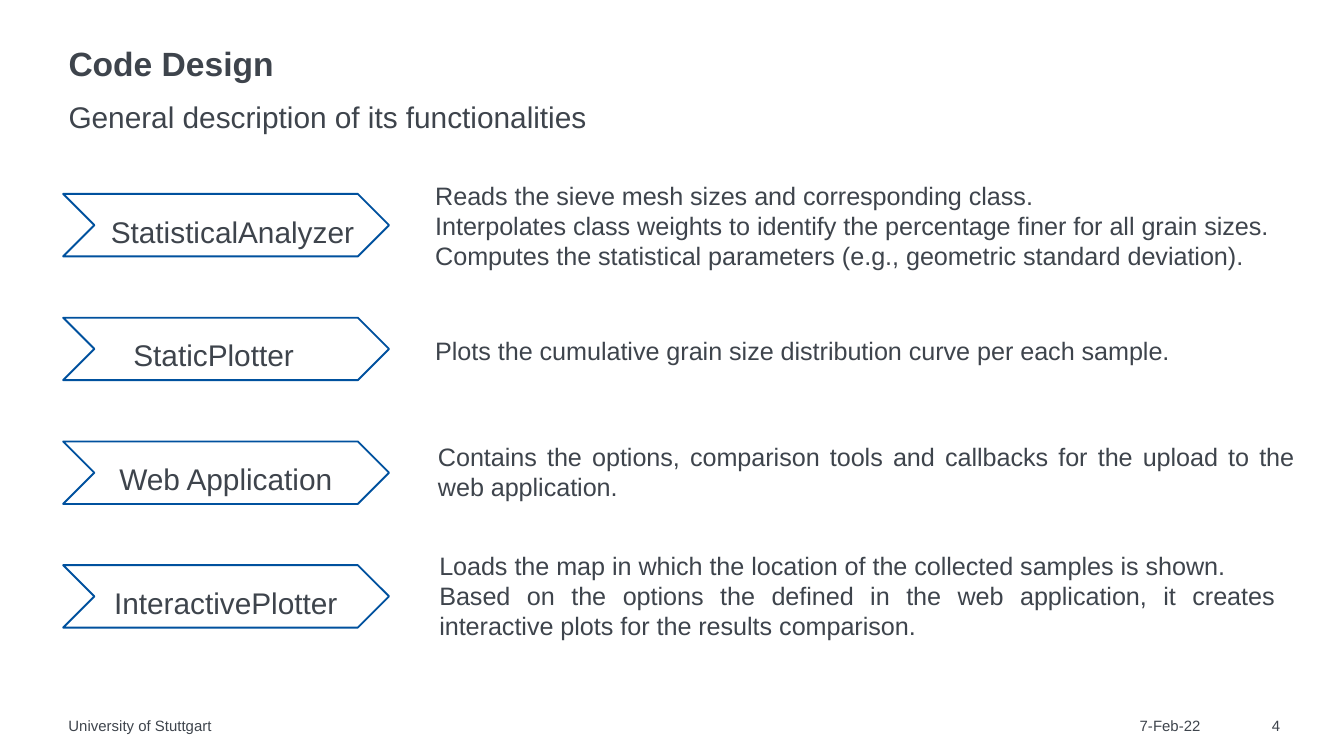
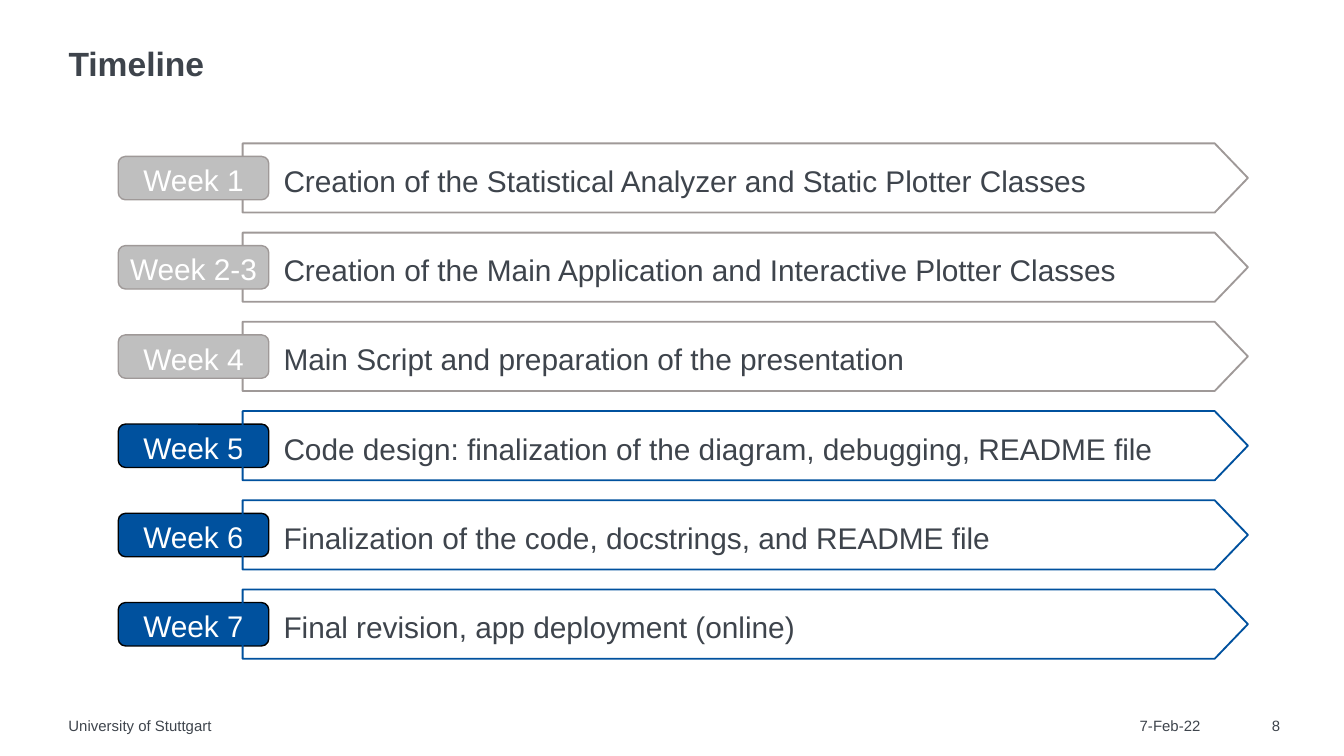
from collections import namedtuple

from pptx import Presentation
from pptx import util as u
from pptx.dml.color import RGBColor
from pptx.enum import shapes, text

# Grid: square cells, 100 columns across the slide
COLS, ROWS = 100, 56.25
CELL = u.Inches(0.1)

# Shared look
INK, BLUE, GREY, SILVER = "3E444C", "00519E", "9F9998", "BFBFBF"
WHITE, BLACK = "FFFFFF", "000000"
CENTER, RIGHT, JUSTIFY = (text.PP_ALIGN.CENTER, text.PP_ALIGN.RIGHT,
                          text.PP_ALIGN.JUSTIFY)
GROW = text.MSO_AUTO_SIZE.SHAPE_TO_FIT_TEXT
FIXED = text.MSO_AUTO_SIZE.NONE
MIDDLE, TOP, BOTTOM = (text.MSO_ANCHOR.MIDDLE, text.MSO_ANCHOR.TOP,
                       text.MSO_ANCHOR.BOTTOM)
CHEVRON, ARROW, TAG = (shapes.MSO_SHAPE.CHEVRON, shapes.MSO_SHAPE.RIGHT_ARROW,
                       shapes.MSO_SHAPE.ROUNDED_RECTANGLE)

TITLE = {"size": 18, "bold": True, "spacing": 0.9, "anchor": MIDDLE, "grow": FIXED}
SUBTITLE = {"size": 16, "spacing": 1.2, "grow": FIXED}
LABEL = {"size": 16, "spacing": 1.2}
FOOTER = {"size": 8}
DESCRIPTION = {"size": 13.5, "align": JUSTIFY, "level": 1, "insets": (1, 0.5)}

# Label shift, description offset (column, row), width, height, indent and lines
COMPONENTS = [
    ("StatisticalAnalyzer", 2, (22.8, -1.5), (68.6, 7.8), 3.9, [
        "Reads the sieve mesh sizes and corresponding class.",
        "Interpolates class weights to identify the percentage finer for all grain sizes.",
        "Computes the statistical parameters (e.g., geometric standard deviation)."]),
    ("StaticPlotter", 0.6, (22.8, 0.8), (68.6, 3.3), 3.9, [
        "Plots the cumulative grain size distribution curve per each sample."]),
    ("Web Application", 1.5, (25, -0.5), (67.65, 5.6), 1.9, [
        "Contains the options, comparison tools and callbacks for the upload to the "
        "web application."]),
    ("InteractivePlotter", 1.5, (23.1, -1.6), (68.1, 7.8), 3.9, [
        "Loads the map in which the location of the collected samples is shown.",
        "Based on the options the defined in the web application, it creates "
        "interactive plots for the results comparison."]),
]

# Week, task, done
WEEKS = [
    ("Week 1", "Creation of the Statistical Analyzer and Static Plotter Classes", True),
    ("Week 2-3", "Creation of the Main Application and Interactive Plotter Classes", True),
    ("Week 4", "Main Script and preparation of the presentation", True),
    ("Week 5", "Code design: finalization of the diagram, debugging, README file", False),
    ("Week 6", "Finalization of the code, docstrings, and README file", False),
    ("Week 7", "Final revision, app deployment (online)", False),
]


class Box(namedtuple("Box", "x y w h")):
    """A region in grid cells."""

    def sub(self, dx, dy, w, h):
        return Box(self.x + dx, self.y + dy, w, h)

    def rows(self, count):
        """Split into rows of equal pitch."""
        pitch = self.h / count
        return [self.sub(0, i * pitch, self.w, pitch) for i in range(count)]

    def emu(self):
        return [cells(v) for v in self]


PAGE = Box(0, 0, COLS, ROWS)


def cells(n):
    return u.Emu(round(n * CELL))


def rgb(value):
    return RGBColor.from_string(value)


def apply(obj, values):
    for name, value in values.items():
        setattr(obj, name, value)


def write(sp, lines, size, color=INK, bold=False, align=None, spacing=None,
          anchor=TOP, grow=GROW, insets=(0, 0), level=0, indent=0):
    tf = sp.text_frame
    side, edge = map(cells, insets)
    apply(tf, {"word_wrap": True, "auto_size": grow, "vertical_anchor": anchor,
               "margin_left": side, "margin_right": side,
               "margin_top": edge, "margin_bottom": edge})
    for i, line in enumerate(lines):
        p = tf.add_paragraph() if i else tf.paragraphs[0]
        apply(p, {"alignment": align, "line_spacing": spacing, "level": level})
        if indent:
            pPr = p._p.get_or_add_pPr()
            pPr.set("marL", str(cells(indent)))
            pPr.set("indent", "0")
        r = p.add_run()
        r.text = line
        apply(r.font, {"name": "Arial", "size": u.Pt(size), "bold": bold})
        r.font.color.rgb = rgb(color)


def add_text(s, box, *lines, **style):
    write(s.shapes.add_textbox(*box.emu()), lines, **style)


def add_outline(s, kind, box, line, width=1, fill=None, adjust=()):
    sp = s.shapes.add_shape(kind, *box.emu())
    sp.shadow.inherit = False
    for i, value in enumerate(adjust):
        sp.adjustments[i] = value
    if fill:
        sp.fill.solid()
        sp.fill.fore_color.rgb = rgb(fill)
    else:
        sp.fill.background()
    sp.line.color.rgb = rgb(line)
    sp.line.width = u.Pt(width)
    return sp


def add_page(prs, box, title, number):
    """Blank slide with the shared title and footer."""
    s = prs.slides.add_slide(prs.slide_layouts[6])
    add_text(s, box.sub(5.1, 3.5, 90.2, 2.8), title, **TITLE)
    foot = box.sub(0, 53.35, box.w, 1.3)
    add_text(s, foot.sub(84.8, 0, 5.8, 1.3), "7-Feb-22", **FOOTER)
    add_text(s, foot.sub(5.1, 0, 66.3, 1.3), "University of Stuttgart", **FOOTER)
    add_text(s, foot.sub(92.8, 0, 2.45, 1.3), str(number), align=RIGHT, **FOOTER)
    return s


def add_component(s, box, label, shift, offset, size, indent, lines):
    """Chevron with a class name, and its description on the right."""
    add_text(s, box.sub(shift, 0.9, 21.2, 2.9), label, align=CENTER, **LABEL)
    add_outline(s, CHEVRON, box.sub(0, 0, 24.25, 4.65), BLUE)
    add_text(s, box.sub(*offset, *size), *lines, indent=indent, **DESCRIPTION)


def add_week(s, box, week, task, done):
    """Arrow with a task, and a week tag on its left end."""
    def arrow():
        add_outline(s, ARROW, box.sub(9.25, 0, 74.8, 5.15), GREY if done else BLUE,
                    adjust=(1, 0.48))

    def tag():
        sp = add_outline(s, TAG, box.sub(0, 0.97, 11.2, 3.23), GREY if done else BLACK,
                         0.75, SILVER if done else BLUE)
        write(sp, [week], color=WHITE, align=CENTER, anchor=BOTTOM, **LABEL)

    # Tags of finished weeks lie over the arrow, the others under it
    for part in (arrow, tag) if done else (tag, arrow):
        part()
    add_text(s, box.sub(12.3, 0.9, 67.6, 2.9), task, **LABEL)


def design_slide(prs, box):
    s = add_page(prs, box, "Code Design", 4)
    add_text(s, box.sub(5.1, 6.8, 90.2, 3),
             "General description of its functionalities", **SUBTITLE)
    rows = box.sub(4.7, 14.43, 93.4, 36.83).rows(len(COMPONENTS))
    for row, component in zip(rows, COMPONENTS):
        add_component(s, row, *component)


def timeline_slide(prs, box):
    s = add_page(prs, box, "Timeline", 8)
    rows = box.sub(8.8, 10.67, 84.1, 39.84).rows(len(WEEKS))
    for row, week in zip(rows, WEEKS):
        add_week(s, row, *week)


def main():
    prs = Presentation()
    apply(prs, {"slide_width": cells(COLS), "slide_height": cells(ROWS)})
    design_slide(prs, PAGE)
    timeline_slide(prs, PAGE)
    prs.save("out.pptx")


if __name__ == "__main__":
    main()
